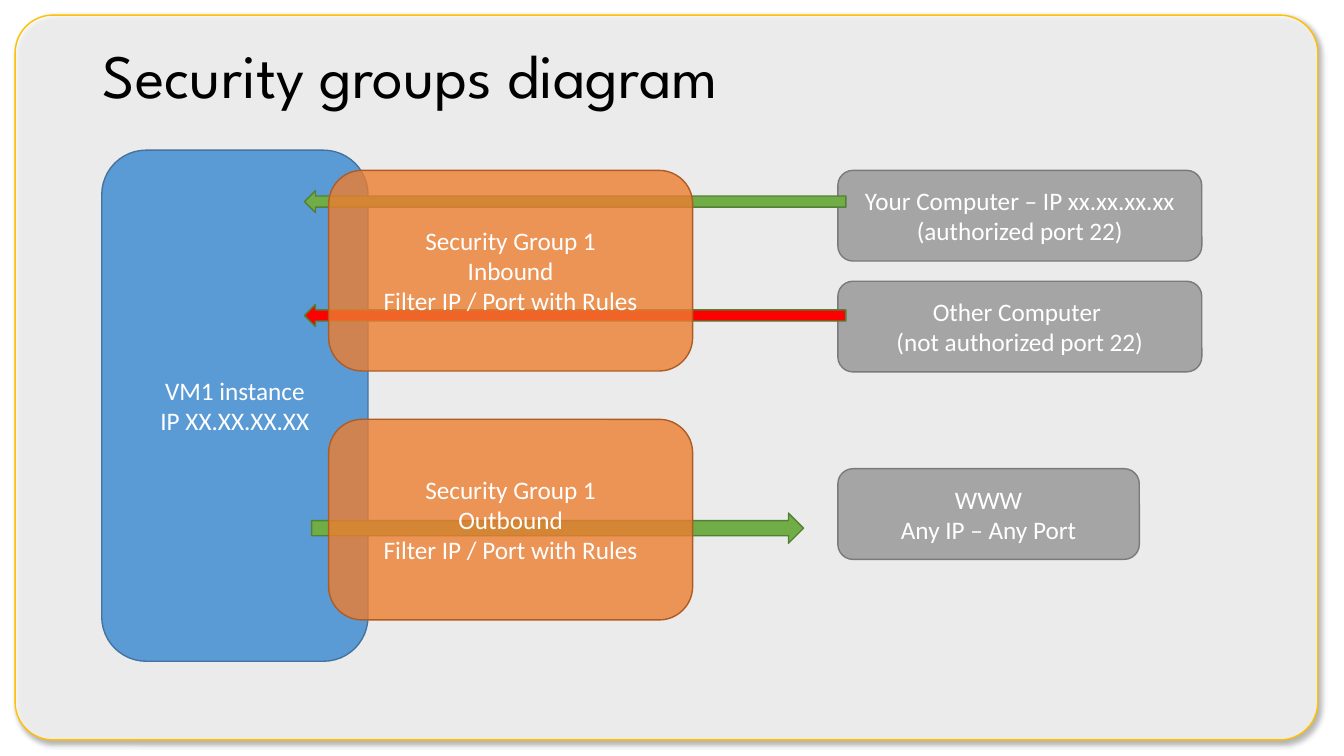
from lxml.etree import SubElement
from pptx import Presentation
from pptx.dml.color import RGBColor
from pptx.enum.shapes import MSO_SHAPE
from pptx.enum.text import MSO_ANCHOR, MSO_AUTO_SIZE, PP_ALIGN
from pptx.oxml.ns import qn
from pptx.util import Inches, Pt

BLACK = RGBColor(0x00, 0x00, 0x00)
WHITE = RGBColor(0xFF, 0xFF, 0xFF)
GOLD = RGBColor(0xFF, 0xC0, 0x00)
BLUE = RGBColor(0x5B, 0x9B, 0xD5)
DARK_BLUE = RGBColor(0x43, 0x73, 0x9E)
GRAY = RGBColor(0xA5, 0xA5, 0xA5)
DARK_GRAY = RGBColor(0x7A, 0x7A, 0x7A)
ORANGE = RGBColor(0xED, 0x7D, 0x31)
DARK_ORANGE = RGBColor(0xAF, 0x5C, 0x24)
GREEN = RGBColor(0x70, 0xAD, 0x47)
DARK_GREEN = RGBColor(0x53, 0x80, 0x35)
RED = RGBColor(0xFF, 0x00, 0x00)

deck = Presentation()
deck.slide_width, deck.slide_height = Inches(13.33), Inches(7.5)
page = deck.slides.add_slide(deck.slide_layouts[5])


def add_box(kind, left, top, width, height, fill, line, text="", opacity=100):
    """Add a filled, outlined shape with centred white text; opacity in percent."""
    box = page.shapes.add_shape(
        kind, Inches(left), Inches(top), Inches(width), Inches(height))
    box.shadow.inherit = False
    box.fill.solid()
    box.fill.fore_color.rgb = fill
    box.line.color.rgb = line
    box.line.width = Pt(1)
    if opacity < 100:
        color = box._element.spPr.find(qn("a:solidFill"))[0]
        SubElement(color, qn("a:alpha"), val=str(opacity * 1000))
    if text:
        frame = box.text_frame
        frame.text = text
        frame.word_wrap = True
        frame.vertical_anchor = MSO_ANCHOR.MIDDLE
        for para in frame.paragraphs:
            para.alignment = PP_ALIGN.CENTER
            for span in para.runs:
                span.font.name = "Calibri"
                span.font.size = Pt(18)
                span.font.color.rgb = WHITE
    return box


# Background panel with a soft shadow, behind the title
panel = add_box(MSO_SHAPE.ROUNDED_RECTANGLE, 0.15, 0.15, 12.92, 7.19,
                WHITE, GOLD, opacity=75)
panel.adjustments[0] = 0.052
effects = panel._element.spPr.find(qn("a:effectLst"))
shadow = SubElement(effects, qn("a:outerShdw"), blurRad=str(Pt(4)),
                    dist=str(Pt(3)), dir="2700000", algn="tl", rotWithShape="0")
shadow_color = SubElement(shadow, qn("a:srgbClr"), val=str(BLACK))
SubElement(shadow_color, qn("a:alpha"), val="40000")
page.shapes._spTree.insert(2, panel._element)

title = page.shapes.title
title.left, title.top = Inches(0.92), Inches(0.05)
title.width, title.height = Inches(11.5), Inches(1.45)
title.text_frame.text = "Security groups diagram"
title.text_frame.auto_size = MSO_AUTO_SIZE.NONE
title.text_frame.vertical_anchor = MSO_ANCHOR.MIDDLE
heading = title.text_frame.paragraphs[0]
heading.alignment = PP_ALIGN.LEFT
heading.line_spacing = 0.9
heading.runs[0].font.name = "League Spartan"
heading.runs[0].font.size = Pt(44)
heading.runs[0].font.color.rgb = BLACK

add_box(MSO_SHAPE.ROUNDED_RECTANGLE, 1.01, 1.49, 2.64, 5.07, BLUE, DARK_BLUE,
        "VM1 instance\nIP XX.XX.XX.XX")

for top, width, text in (
    (1.69, 3.61, "Your Computer – IP xx.xx.xx.xx\n(authorized port 22)"),
    (2.79, 3.61, "Other Computer \n(not authorized port 22)"),
    (4.65, 2.99, "WWW\nAny IP – Any Port"),
):
    add_box(MSO_SHAPE.ROUNDED_RECTANGLE, 8.31, top, width, 0.9,
            GRAY, DARK_GRAY, text)

for kind, left, top, width, height, fill in (
    (MSO_SHAPE.LEFT_ARROW, 3.02, 3.02, 5.37, 0.22, RED),
    (MSO_SHAPE.RIGHT_ARROW, 3.09, 5.09, 4.88, 0.3, GREEN),
    (MSO_SHAPE.LEFT_ARROW, 3.02, 1.89, 5.37, 0.22, GREEN),
):
    add_box(kind, left, top, width, height, fill, DARK_GREEN)

# Translucent filters lie over the traffic arrows
for top, direction in ((1.69, "Inbound"), (4.16, "Outbound")):
    add_box(MSO_SHAPE.ROUNDED_RECTANGLE, 3.26, top, 3.61, 1.99,
            ORANGE, DARK_ORANGE,
            f"Security Group 1\n{direction}\nFilter IP / Port with Rules",
            opacity=80)

deck.save("out.pptx")
